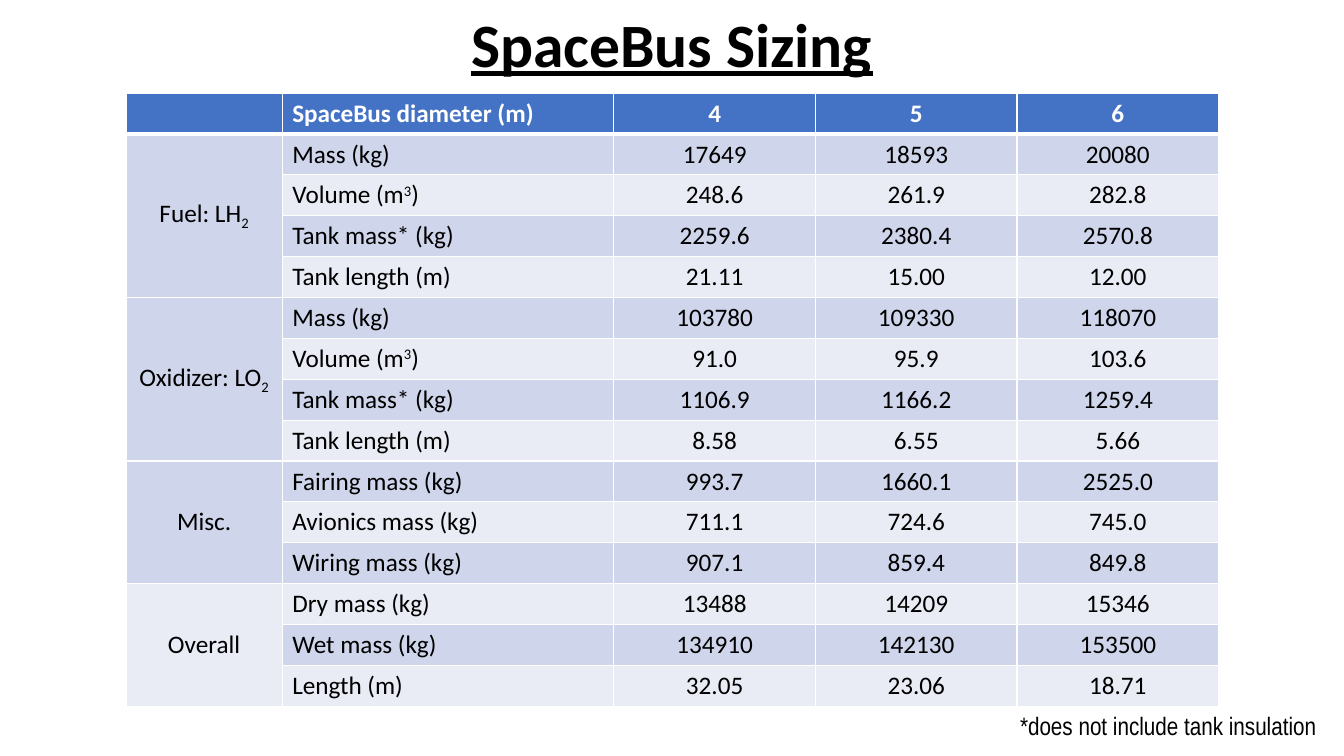
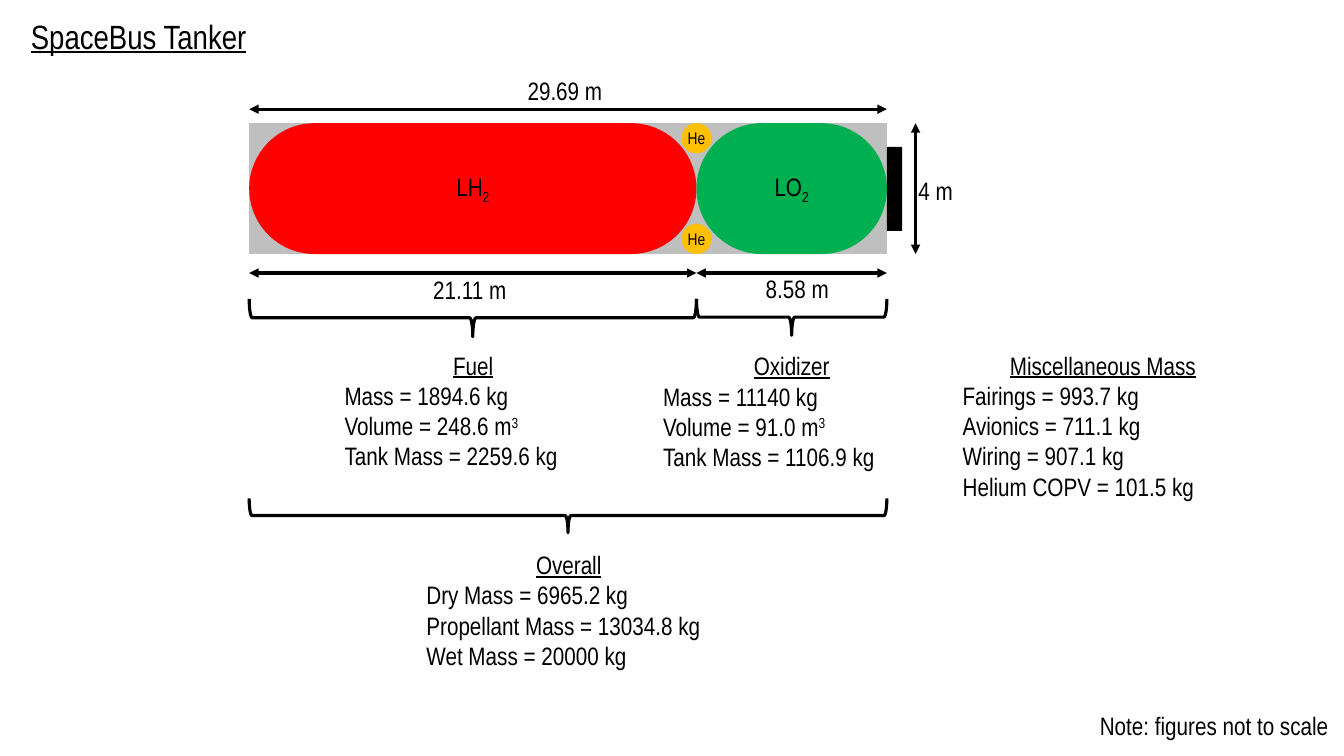
from pptx import Presentation
from pptx.dml.color import RGBColor as RGB
from pptx.enum.shapes import MSO_CONNECTOR as LINE, MSO_SHAPE as SHAPE
from pptx.enum.text import MSO_ANCHOR as ANCHOR, MSO_AUTO_SIZE as FIT, PP_ALIGN as ALIGN
from pptx.oxml.ns import qn
from pptx.util import Pt
from lxml.etree import SubElement as Sub

# Colours and fonts
BLACK = RGB(0x00, 0x00, 0x00)
WHITE = RGB(0xFF, 0xFF, 0xFF)
BLUE = RGB(0x44, 0x72, 0xC4)
BANDS = RGB(0xE9, 0xEB, 0xF5), RGB(0xCF, 0xD5, 0xEA)
GREY = RGB(0xBF, 0xBF, 0xBF)
RED = RGB(0xFF, 0x00, 0x00)
GREEN = RGB(0x00, 0xB0, 0x50)
GOLD = RGB(0xFF, 0xC0, 0x00)
NARROW, PLAIN = "Arial Narrow", "Calibri"
TITLE_ONLY = 5

# Sizing table: group, then label and one value per diameter
HEAD = ("", "SpaceBus diameter (m)", "4", "5", "6")
GROUPS = (
    ("Fuel: LH_2", (
        ("Mass (kg)", "17649", "18593", "20080"),
        ("Volume (m^3)", "248.6", "261.9", "282.8"),
        ("Tank mass* (kg)", "2259.6", "2380.4", "2570.8"),
        ("Tank length (m)", "21.11", "15.00", "12.00"))),
    ("Oxidizer: LO_2", (
        ("Mass (kg)", "103780", "109330", "118070"),
        ("Volume (m^3)", "91.0", "95.9", "103.6"),
        ("Tank mass* (kg)", "1106.9", "1166.2", "1259.4"),
        ("Tank length (m)", "8.58", "6.55", "5.66"))),
    ("Misc.", (
        ("Fairing mass (kg)", "993.7", "1660.1", "2525.0"),
        ("Avionics mass (kg)", "711.1", "724.6", "745.0"),
        ("Wiring mass (kg)", "907.1", "859.4", "849.8"))),
    ("Overall", (
        ("Dry mass (kg)", "13488", "14209", "15346"),
        ("Wet mass (kg)", "134910", "142130", "153500"),
        ("Length (m)", "32.05", "23.06", "18.71"))),
)
WIDTHS = (111.6, 236.9, 144, 144, 144)
ROW = 29.2

# Tanker body: left end, joint between tanks, right end
LEFT, JOINT, RIGHT = 178, 497.5, 633.5
TOP, TALL = 88, 93.5
BASE = TOP + TALL

# Mass lists: left, top, width, heading, lines
LISTS = (
    (239, 246.5, 198, "Fuel",
     ("Mass = 1894.6 kg", "Volume = 248.6 m^3", "Tank Mass = 2259.6 kg")),
    (466.5, 247, 198, "Oxidizer",
     ("Mass = 11140 kg", "Volume = 91.0 m^3", "Tank Mass = 1106.9 kg")),
    (680.5, 246.5, 214.5, "Miscellaneous Mass",
     ("Fairings = 993.7 kg", "Avionics = 711.1 kg", "Wiring = 907.1 kg",
      "Helium COPV = 101.5 kg")),
    (297.5, 389, 217.5, "Overall",
     ("Dry Mass = 6965.2 kg", "Propellant Mass = 13034.8 kg",
      "Wet Mass = 20000 kg")),
)


def write(para, text, font=NARROW, size=18, color=BLACK, bold=False,
          under=False, align=ALIGN.CENTER):
    """Fill a paragraph; _ lowers and ^ raises the next character."""
    para.text, para.alignment = text, align
    for mark, shift in (("_", "-25000"), ("^", "30000")):
        if mark in text:
            para.text, tail = text.split(mark)
            small = para.add_run()
            small.text = tail[0]
            small._r.get_or_add_rPr().set("baseline", shift)
            if tail[1:]:
                para.add_run().text = tail[1:]
    for run in para.runs:
        run.font.name, run.font.size = font, Pt(size)
        run.font.bold, run.font.underline = bold, under
        run.font.color.rgb = color


def place(shape, *box):
    shape.left, shape.top, shape.width, shape.height = map(Pt, box)


def add_page(deck, title, box, **style):
    page = deck.slides.add_slide(deck.slide_layouts[TITLE_ONLY])
    place(page.shapes.title, *box)
    frame = page.shapes.title.text_frame
    frame.auto_size, frame.vertical_anchor = FIT.NONE, ANCHOR.TOP
    frame.word_wrap = True
    write(frame.paragraphs[0], title, under=True, **style)
    frame.paragraphs[0].line_spacing = 0.9
    return page


def add_text(page, box, text):
    frame = page.shapes.add_textbox(*map(Pt, box)).text_frame
    frame.word_wrap = True
    write(frame.paragraphs[0], text)
    return frame


def add_list(page, left, top, width, head, lines):
    frame = add_text(page, (left, top, width, 22 * len(lines) + 29), head)
    frame.paragraphs[0].runs[0].font.underline = True
    for line in lines:
        write(frame.add_paragraph(), line, align=ALIGN.LEFT)


def add_part(page, kind, box, color, text="", size=18):
    part = page.shapes.add_shape(kind, *map(Pt, box))
    part.shadow.inherit = False
    part.fill.solid()
    part.fill.fore_color.rgb = color
    part.line.fill.background()
    if text:
        frame = part.text_frame
        frame.margin_left = frame.margin_right = 0
        frame.margin_top = frame.margin_bottom = 0
        frame.vertical_anchor, frame.word_wrap = ANCHOR.MIDDLE, False
        write(frame.paragraphs[0], text, size=size)
    return part


def add_brace(page, left, right, top, high):
    """Draw a brace that opens upward, from a left brace turned round."""
    wide = right - left
    box = (left + (wide - high) / 2, top + (high - wide) / 2, high, wide)
    brace = page.shapes.add_shape(SHAPE.LEFT_BRACE, *map(Pt, box))
    brace.rotation = 270
    brace.shadow.inherit = False
    brace.fill.background()
    brace.line.color.rgb, brace.line.width = BLACK, Pt(2.25)


def add_span(page, ends, text, box):
    """Draw a dimension: an arrow with two heads and its label."""
    arrow = page.shapes.add_connector(LINE.STRAIGHT, *map(Pt, ends))
    arrow.line.color.rgb, arrow.line.width = BLACK, Pt(2.25)
    line = arrow.line._get_or_add_ln()
    for end in ("a:headEnd", "a:tailEnd"):
        Sub(line, qn(end), type="triangle")
    Sub(arrow._element.spPr, qn("a:effectLst"))
    add_text(page, box, text)


def add_edges(cell, top, base):
    props = cell._tc.get_or_add_tcPr()
    for side, width in (("L", 1), ("R", 1), ("T", top), ("B", base)):
        edge = Sub(props, qn("a:ln" + side), w=str(Pt(width)))
        fill = Sub(edge, qn("a:solidFill"))
        Sub(fill, qn("a:srgbClr"), val=str(WHITE))


def set_cell(grid, row, col, text):
    cell = grid.cell(row, col)
    add_edges(cell, 3 if row == 1 else 1, 3 if row == 0 else 1)
    cell.fill.solid()
    cell.fill.fore_color.rgb = BANDS[row % 2] if row else BLUE
    if col == 0:
        cell.vertical_anchor = ANCHOR.MIDDLE
    write(cell.text_frame.paragraphs[0], text, PLAIN,
          color=BLACK if row else WHITE, bold=row == 0,
          align=ALIGN.LEFT if col == 1 else ALIGN.CENTER)


def add_grid(page):
    rows = [HEAD]
    spans = []
    for name, lines in GROUPS:
        spans.append((len(rows), len(rows) + len(lines) - 1))
        rows += [("" if i else name, *line) for i, line in enumerate(lines)]
    box = (90, 66.5, sum(WIDTHS), ROW * len(rows))
    grid = page.shapes.add_table(len(rows), len(HEAD), *map(Pt, box)).table
    for col, width in zip(grid.columns, WIDTHS):
        col.width = Pt(width)
    for first, last in spans:
        grid.cell(first, 0).merge(grid.cell(last, 0))
    for r, line in enumerate(rows):
        grid.rows[r].height = Pt(ROW)
        for c, text in enumerate(line):
            set_cell(grid, r, c, text)


def add_tanker(page):
    # Body, tanks and engine
    add_part(page, SHAPE.RECTANGLE, (LEFT, TOP, RIGHT - LEFT, TALL), GREY)
    for start, end, color, text in ((LEFT, JOINT, RED, "LH_2"),
                                    (JOINT, RIGHT, GREEN, "LO_2")):
        box = (start, TOP, end - start, TALL)
        tank = add_part(page, SHAPE.ROUNDED_RECTANGLE, box, color, text)
        tank.adjustments[0] = 0.5
    add_part(page, SHAPE.RECTANGLE, (RIGHT, 105, 11, 60), BLACK)

    # Helium bottles
    size = 21.6
    for top in (TOP, BASE - size):
        box = (JOINT - size / 2, top, size, size)
        add_part(page, SHAPE.OVAL, box, GOLD, "He", 12)

    # Dimensions
    for ends, text, box in (
            ((LEFT, 78, RIGHT, 78), "29.69 m", (367, 50, 73, 29)),
            ((LEFT, 195, JOINT, 195), "21.11 m", (299, 192.5, 73, 29)),
            ((JOINT, 195, RIGHT, 195), "8.58 m", (533, 192, 73, 29)),
            ((654, TOP, 654, BASE), "4 m", (637, 122, 62.5, 29))):
        add_span(page, ends, text, box)

    # Braces
    for left, right, top, high in ((LEFT, JOINT, 213.5, 27),
                                   (JOINT, RIGHT, 213.5, 26),
                                   (LEFT, RIGHT, 356, 24.5)):
        add_brace(page, left, right, top, high)


def main():
    deck = Presentation()
    deck.slide_width, deck.slide_height = Pt(960), Pt(540)

    # Sizing table
    page = add_page(deck, "SpaceBus Sizing", (66, 6.5, 828, 60),
                    font=PLAIN, size=44, bold=True)
    add_grid(page)
    add_text(page, (711.5, 504, 246, 29), "*does not include tank insulation")

    # Tanker drawing
    page = add_page(deck, "SpaceBus Tanker", (0, 11, 198, 36), size=24)
    add_tanker(page)
    for item in LISTS:
        add_list(page, *item)
    add_text(page, (776.5, 504, 181.5, 29), "Note: figures not to scale")

    deck.save("out.pptx")


if __name__ == "__main__":
    main()
